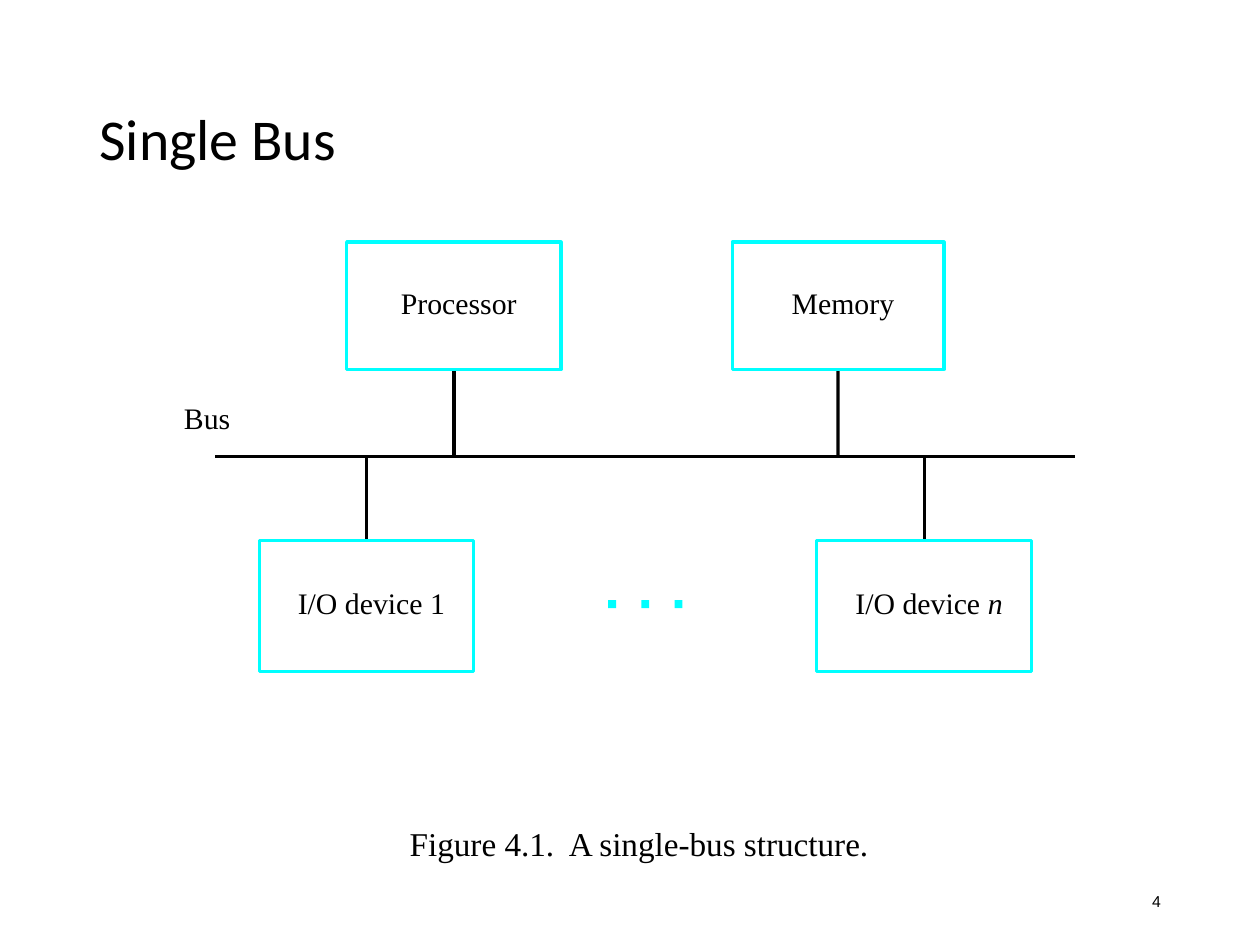
from dataclasses import dataclass

from lxml.etree import SubElement
from pptx import Presentation
from pptx.dml.color import RGBColor
from pptx.enum.shapes import MSO_CONNECTOR, MSO_SHAPE
from pptx.enum.text import MSO_ANCHOR, PP_ALIGN
from pptx.oxml.ns import qn
from pptx.util import Cm, Pt


@dataclass(frozen=True)
class Theme:
    ink: RGBColor = RGBColor(0, 0, 0)
    accent: RGBColor = RGBColor(0, 255, 255)
    title_font: str = "Calibri"
    diagram_font: str = "Times New Roman"
    number_font: str = "Arial"
    title_size: float = 33
    label_size: float = 17
    caption_size: float = 19
    number_size: float = 9
    line_width: float = 1.87


THEME = Theme()
TOP, BOTTOM = 0, 2  # connection sites of a rectangle

TITLE = "Single Bus"
BUS_LABEL = "Bus"
CAPTION = "Figure 4.1.  A single-bus structure."
SLIDE_NUMBER = "4"

# Row: (top, height, site facing the bus, units)
# Unit: (left, width, label runs as (text, italic))
ROWS = [
    (4.88, 2.57, BOTTOM, [
        (6.99, 4.32, [("Processor", False)]),
        (14.76, 4.27, [("Memory", False)]),
    ]),
    (10.9, 2.64, TOP, [
        (5.23, 4.32, [("I/O device 1", False)]),
        (16.46, 4.34, [("I/O device ", False), ("n", True)]),
    ]),
]
BUS_LEFT, BUS_RIGHT, BUS_Y = 4.34, 21.67, 9.2
DOT_COUNT, DOT_LEFT, DOT_TOP, DOT_SIZE, DOT_PITCH = 3, 12.26, 12.1, 0.16, 0.67


def add_run(paragraph, text, font, size, italic=False):
    run = paragraph.add_run()
    run.text = text
    run.font.name = font
    run.font.size = Pt(size)
    run.font.italic = italic
    run.font.color.rgb = THEME.ink


def set_insets(frame, left=0, top=0, right=0, bottom=0):
    frame.margin_left, frame.margin_top = Cm(left), Cm(top)
    frame.margin_right, frame.margin_bottom = Cm(right), Cm(bottom)


def add_note(slide, text, at, size):
    """Add a one-line diagram text without insets."""
    frame = slide.shapes.add_textbox(*map(Cm, at)).text_frame
    frame.word_wrap = False
    set_insets(frame)
    add_run(frame.paragraphs[0], text, THEME.diagram_font, size)


def add_line(slide, x1, y1, x2, y2):
    line = slide.shapes.add_connector(
        MSO_CONNECTOR.STRAIGHT, Cm(x1), Cm(y1), Cm(x2), Cm(y2))
    line.line.color.rgb = THEME.ink
    line.line.width = Pt(THEME.line_width)
    SubElement(line._element.spPr, qn("a:effectLst"))
    return line


def add_unit(slide, left, top, width, height, site, label):
    """Add a labelled box and the line that joins it to the bus."""
    center = left + width / 2
    edge = top if site == TOP else top + height
    link = add_line(slide, center, edge, center, BUS_Y)

    box = slide.shapes.add_shape(
        MSO_SHAPE.RECTANGLE, Cm(left), Cm(top), Cm(width), Cm(height))
    box.shadow.inherit = False
    box.fill.background()
    box.line.color.rgb = THEME.accent
    box.line.width = Pt(THEME.line_width)
    link.begin_connect(box, site)

    frame = box.text_frame
    frame.vertical_anchor = MSO_ANCHOR.MIDDLE
    set_insets(frame, left=0.2, bottom=0.14)
    paragraph = frame.paragraphs[0]
    paragraph.alignment = PP_ALIGN.CENTER
    for text, italic in label:
        add_run(paragraph, text, THEME.diagram_font, THEME.label_size, italic)


def add_dots(slide):
    for i in range(DOT_COUNT):
        dot = slide.shapes.add_shape(
            MSO_SHAPE.RECTANGLE, Cm(DOT_LEFT + i * DOT_PITCH), Cm(DOT_TOP),
            Cm(DOT_SIZE), Cm(DOT_SIZE))
        dot.shadow.inherit = False
        dot.fill.solid()
        dot.fill.fore_color.rgb = THEME.accent
        dot.line.fill.background()


def add_title(slide):
    title = slide.shapes.title
    title.left, title.top, title.width, title.height = map(
        Cm, (1.75, 1.02, 21.92, 3.68))
    title.text_frame.vertical_anchor = MSO_ANCHOR.MIDDLE
    paragraph = title.text_frame.paragraphs[0]
    paragraph.alignment = PP_ALIGN.LEFT
    paragraph.line_spacing = 0.9
    add_run(paragraph, TITLE, THEME.title_font, THEME.title_size)


def add_slide_number(slide):
    frame = slide.shapes.add_textbox(
        Cm(17.93), Cm(17.65), Cm(5.72), Cm(1.02)).text_frame
    frame.word_wrap = True
    frame.vertical_anchor = MSO_ANCHOR.MIDDLE
    paragraph = frame.paragraphs[0]
    paragraph.alignment = PP_ALIGN.RIGHT
    add_run(paragraph, SLIDE_NUMBER, THEME.number_font, THEME.number_size)


def main():
    deck = Presentation()
    deck.slide_width, deck.slide_height = Cm(25.4), Cm(19.05)
    slide = deck.slides.add_slide(deck.slide_layouts.get_by_name("Title Only"))

    add_title(slide)
    add_slide_number(slide)
    add_line(slide, BUS_LEFT, BUS_Y, BUS_RIGHT, BUS_Y)
    for top, height, site, units in ROWS:
        for left, width, label in units:
            add_unit(slide, left, top, width, height, site, label)
    add_dots(slide)
    add_note(slide, BUS_LABEL, (3.71, 8.05, 0.94, 0.71), THEME.label_size)
    add_note(slide, CAPTION, (8.26, 16.59, 9.32, 0.81), THEME.caption_size)
    deck.save("out.pptx")


if __name__ == "__main__":
    main()
